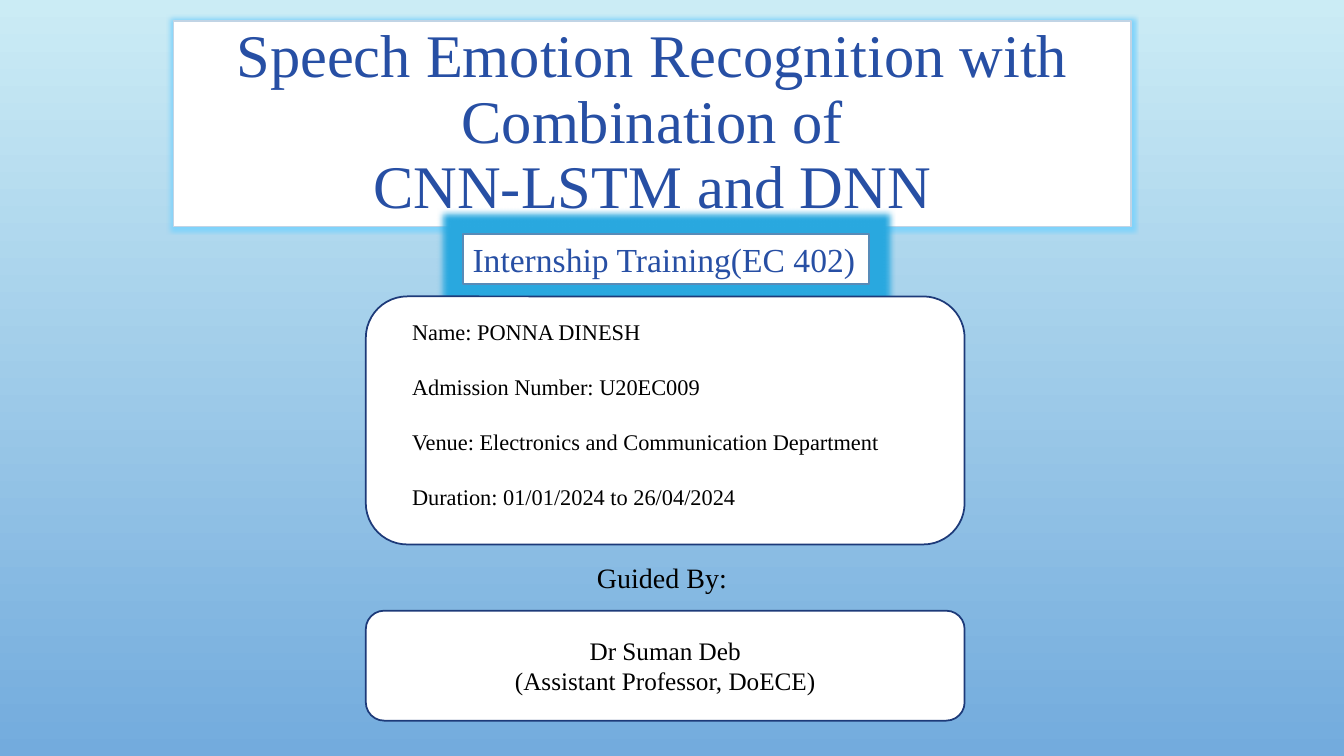
from lxml import etree
from pptx import Presentation
from pptx.dml.color import RGBColor
from pptx.enum.shapes import MSO_SHAPE
from pptx.enum.text import MSO_ANCHOR, MSO_AUTO_SIZE, PP_ALIGN
from pptx.oxml.ns import qn
from pptx.util import Cm, Pt

RECT, ROUNDED = MSO_SHAPE.RECTANGLE, MSO_SHAPE.ROUNDED_RECTANGLE
LEFT, CENTER = PP_ALIGN.LEFT, PP_ALIGN.CENTER
TOP, MIDDLE, BOTTOM = MSO_ANCHOR.TOP, MSO_ANCHOR.MIDDLE, MSO_ANCHOR.BOTTOM
NO_AUTOFIT = MSO_AUTO_SIZE.NONE

FONT = "Times New Roman"
WHITE = RGBColor(0xFF, 0xFF, 0xFF)
BLACK = RGBColor(0x00, 0x00, 0x00)
BLUE = RGBColor(0x27, 0x4F, 0xA4)
NAVY = RGBColor(0x1D, 0x3A, 0x79)
STEEL = RGBColor(0x58, 0x8B, 0xB8)
PALE_BLUE = RGBColor(0xC1, 0xD4, 0xE5)
TITLE_GLOW = RGBColor(0x7F, 0xD3, 0xFB)
COURSE_GLOW = RGBColor(0x2A, 0xA9, 0xE0)
SKY_TOP = RGBColor(0xCB, 0xEC, 0xF5)
SKY_BOTTOM = RGBColor(0x73, 0xAB, 0xDD)

DETAILS = [
    "Name: PONNA DINESH",
    "Admission Number: U20EC009",
    "Venue: Electronics and Communication Department",
    "Duration: 01/01/2024 to 26/04/2024",
]


def place(shape, left, top, width, height):
    shape.left, shape.top, shape.width, shape.height = left, top, width, height


def style_box(shape, line_color):
    shape.fill.solid()
    shape.fill.fore_color.rgb = WHITE
    shape.line.color.rgb = line_color
    shape.line.width = Pt(1.25)
    shape.shadow.inherit = False


def add_glow(shape, color, radius):
    effects = shape.element.spPr.find(qn("a:effectLst"))
    glow = etree.SubElement(effects, qn("a:glow"), rad=str(radius))
    etree.SubElement(glow, qn("a:srgbClr"), val=str(color))


def write(shape, lines, size, color=BLACK, align=LEFT, anchor=TOP, wrap=True):
    tf = shape.text_frame
    tf.text = "\n".join(lines)
    tf.auto_size = NO_AUTOFIT
    tf.word_wrap = wrap
    tf.vertical_anchor = anchor
    for p in tf.paragraphs:
        p.alignment = align
        p.space_before = Pt(0)
        p.font.name = FONT
        p.font.size = Pt(size)
        p.font.color.rgb = color
    return tf.paragraphs


def paint_background(s):
    fill = s.background.fill
    fill.gradient()
    fill.gradient_angle = 270
    for stop, color in zip(fill.gradient_stops, (SKY_TOP, SKY_BOTTOM)):
        stop.color.rgb = color


def add_title(s, left, top, width, height):
    title = s.shapes.title
    place(title, left, top, width, height)
    style_box(title, PALE_BLUE)
    add_glow(title, TITLE_GLOW, Pt(5))
    text = "Speech Emotion Recognition with Combination of\vCNN-LSTM and DNN"
    for p in write(title, [text], 43.2, BLUE, CENTER, BOTTOM):
        p.line_spacing = 0.9


def add_course(s, left, top, width, height):
    course = s.shapes.add_shape(RECT, left, top, width, height)
    style_box(course, STEEL)
    add_glow(course, COURSE_GLOW, Pt(9))
    write(course, ["Internship Training(EC 402)"], 24, BLUE, wrap=False)


def add_details(s, left, top, width, height):
    card = s.shapes.add_shape(ROUNDED, left, top, width, height)
    style_box(card, NAVY)
    details = s.placeholders[1]
    inset_x, inset_y = Cm(0.91), Cm(0.43)
    place(details, left + inset_x, top + inset_y,
          width - 2 * inset_x, height - inset_y)
    for p in write(details, DETAILS, 16):
        p.space_after = Pt(20)
    card.element.addnext(details.element)  # bring the text in front of its card


def add_guide(s, left, top, width, height):
    """Put the 'Guided By' label above a card with the guide's name."""
    label_height, label_width = Cm(1.39), Cm(3.94)
    label = s.shapes.add_textbox(left + (width - label_width) // 2, top,
                                 label_width, label_height)
    write(label, ["Guided By:"], 20)
    card = s.shapes.add_shape(ROUNDED, left, top + label_height,
                              width, height - label_height)
    style_box(card, NAVY)
    write(card, ["Dr Suman Deb\v(Assistant Professor, DoECE)"], 18,
          align=CENTER, anchor=MIDDLE)


def main():
    prs = Presentation()
    prs.slide_width, prs.slide_height = Cm(33.87), Cm(19.05)
    s = prs.slides.add_slide(prs.slide_layouts[0])
    paint_background(s)
    add_title(s, Cm(4.37), Cm(0.53), Cm(24.13), Cm(5.18))
    add_course(s, Cm(11.66), Cm(5.89), Cm(10.24), Cm(1.27))
    add_details(s, Cm(9.22), Cm(7.47), Cm(15.09), Cm(6.25))
    add_guide(s, Cm(9.22), Cm(14), Cm(15.09), Cm(4.16))
    prs.save("out.pptx")


if __name__ == "__main__":
    main()
